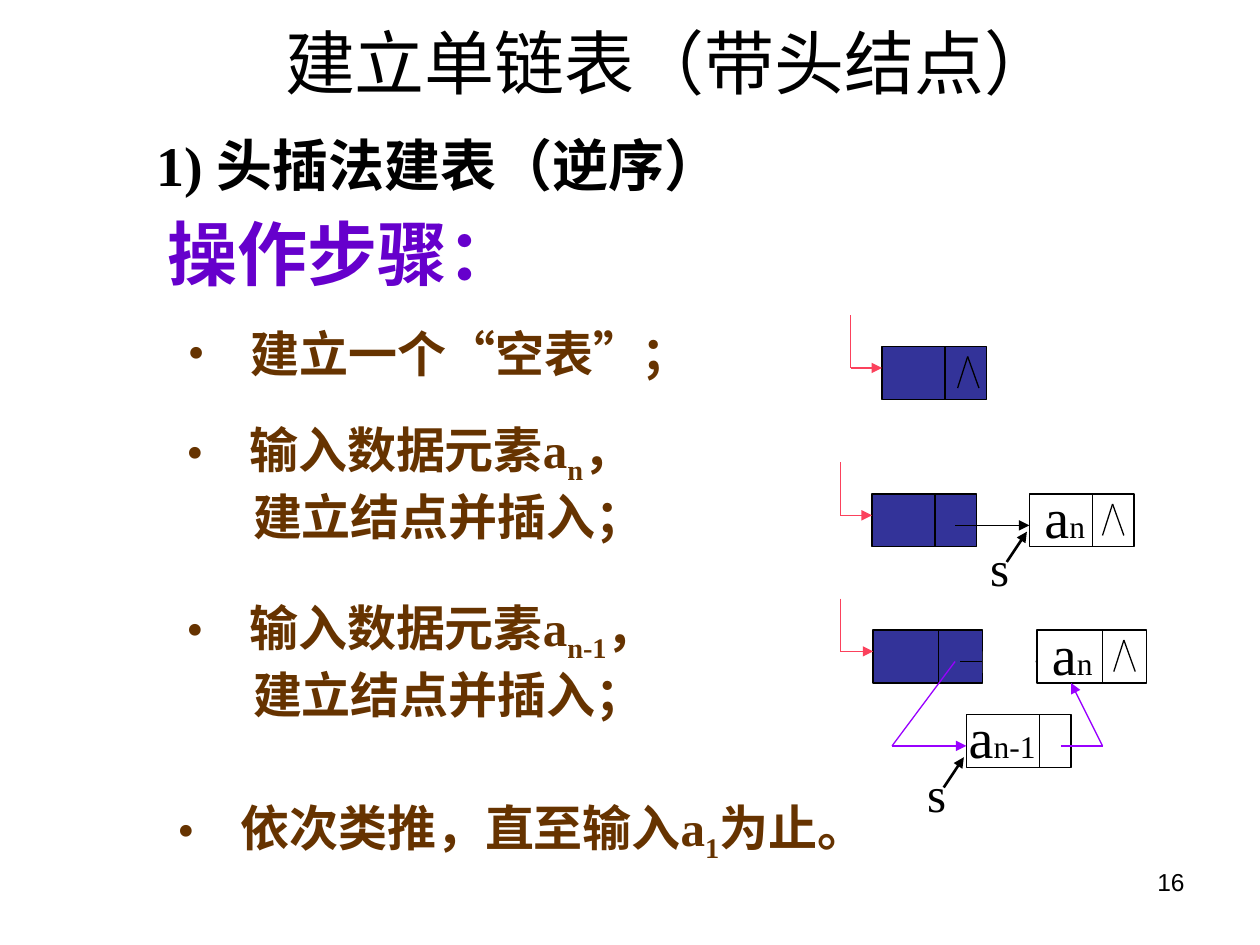
import lxml.etree
import pptx
import pptx.dml.color
import pptx.enum.shapes
import pptx.enum.text
import pptx.oxml.ns
import pptx.util

Inches = pptx.util.Inches
Align = pptx.enum.text.PP_ALIGN
qn = pptx.oxml.ns.qn

BLACK, WHITE, NAVY = "000000", "FFFFFF", "333399"
RED, VIOLET, BROWN = "FB415C", "9900FF", "663300"
SERIF, SANS, CJK = "Times New Roman", "Arial", "Noto Sans CJK SC"
NODE_HEIGHT, NODE_WIDTH = 0.42, 0.83


def color(value):
    """Turn a hex string into a colour."""
    return pptx.dml.color.RGBColor.from_string(value)


def add_span(para, text, size, ink, bold=False, font=SERIF, baseline=0):
    """Append one formatted run to a paragraph."""
    span = para.add_run()
    span.text = text
    span.font.size = pptx.util.Pt(size)
    span.font.bold = bold
    span.font.color.rgb = color(ink)
    span.font.name = font
    properties = span.font._element
    lxml.etree.SubElement(properties, qn("a:ea")).set("typeface", CJK)
    if baseline:
        properties.set("baseline", str(baseline * 1000))


def add_box(slide, left, top, width, height, wrap=False):
    """Add an empty text box and return its text frame."""
    box = slide.shapes.add_textbox(Inches(left), Inches(top), Inches(width), Inches(height))
    box.text_frame.word_wrap = wrap
    return box.text_frame


def add_label(slide, place, spans, wrap=False, align=Align.LEFT):
    """Add a one-paragraph text box made of (text, size, colour, ...) spans."""
    frame = add_box(slide, *place, wrap=wrap)
    para = frame.paragraphs[0]
    para.alignment = align
    for span in spans:
        add_span(para, *span)
    return frame


def set_indent(para, margin, first=0.0, bullet=False):
    """Set the paragraph indent and, if asked, a round bullet."""
    properties = para._p.get_or_add_pPr()
    properties.set("marL", str(Inches(margin)))
    properties.set("indent", str(Inches(first)))
    if bullet:
        tint = lxml.etree.SubElement(properties, qn("a:buClr"))
        lxml.etree.SubElement(tint, qn("a:srgbClr")).set("val", BROWN)
        lxml.etree.SubElement(properties, qn("a:buFont")).set("typeface", SERIF)
        lxml.etree.SubElement(properties, qn("a:buChar")).set("char", "•")


def add_step(slide, place, before, subscript="", after="", second="", wrap=False):
    """Add a bulleted step with an optional subscript and second line."""
    frame = add_box(slide, *place, wrap=wrap)
    para = frame.paragraphs[0]
    set_indent(para, 0.5, -0.5, bullet=True)
    add_span(para, before, 28, BROWN, True)
    if subscript:
        add_span(para, subscript, 28, BROWN, True, baseline=-25)
        add_span(para, after, 28, BROWN, True)
    if second:
        para = frame.add_paragraph()
        set_indent(para, 0.53)
        add_span(para, second, 28, BROWN, True)


def add_line(slide, start, end, ink=BLACK, weight=0.75, arrow=False):
    """Draw a straight line, with an arrowhead at its end if asked."""
    line = slide.shapes.add_connector(
        pptx.enum.shapes.MSO_CONNECTOR.STRAIGHT, *map(Inches, start + end))
    line.line.color.rgb = color(ink)
    line.line.width = pptx.util.Pt(weight)
    if arrow:
        outline = line.line._get_or_add_ln()
        lxml.etree.SubElement(outline, qn("a:tailEnd")).set("type", "triangle")
    lxml.etree.SubElement(line._element.spPr, qn("a:effectLst"))


def add_rectangle(slide, left, top, width, height, fill=None, outline=True):
    """Draw a rectangle with optional fill and outline."""
    shape = slide.shapes.add_shape(
        pptx.enum.shapes.MSO_SHAPE.RECTANGLE,
        Inches(left), Inches(top), Inches(width), Inches(height))
    shape.shadow.inherit = False
    if fill:
        shape.fill.solid()
        shape.fill.fore_color.rgb = color(fill)
    else:
        shape.fill.background()
    if outline:
        shape.line.color.rgb = color(BLACK)
        shape.line.width = pptx.util.Pt(0.75)
    else:
        shape.line.fill.background()


def add_node(slide, left, top, width=NODE_WIDTH, split=0.5, fill=None):
    """Draw a list node divided into a data cell and a pointer cell."""
    add_rectangle(slide, left, top, width, NODE_HEIGHT, fill)
    add_line(slide, (left + split, top), (left + split, top + NODE_HEIGHT))


def add_head(slide, left, top, width=NODE_WIDTH, split=0.5, gap=0.25):
    """Draw the head node and the red pointer that leads to it."""
    add_node(slide, left, top, width, split, NAVY)
    bend = (left - gap, top + 0.17)
    add_line(slide, bend, (left, top + 0.17), RED, arrow=True)
    add_line(slide, (left - gap, top - 0.25), bend, RED)


def add_null(slide, x, top):
    """Draw the null mark with its peak at x."""
    for foot in (x - 0.08, x + 0.09):
        add_line(slide, (x, top), (foot, top + 0.25))


def add_data(slide, left, top, width, subscript):
    """Write the data of a node."""
    add_label(slide, (left, top, width, 0.64), [("a", 32, BLACK), (subscript, 18, BLACK)])


def add_new_pointer(slide, left, top):
    """Write the s label and its arrow to the new node."""
    add_label(slide, (left, top, 0.35, 0.57), [("s", 28, BLACK)])
    add_line(slide, (left + 0.23, top + 0.24), (left + 0.39, top), weight=1.5, arrow=True)


def add_texts(slide):
    """Add the headings, the steps and the page number."""
    title = add_label(slide, (2.01, 0.13, 6.61, 0.71), [
        ("建立单链表", 40, BLACK, False, CJK),
        ("（带头结点）", 40, BLACK, False, SANS)], True, Align.CENTER)
    title.vertical_anchor = pptx.enum.text.MSO_ANCHOR.MIDDLE
    add_label(slide, (1.14, 0.99, 5.83, 0.64), [("1) 头插法建表（逆序）", 32, BLACK, True)], True)
    add_label(slide, (1.23, 1.62, 2.97, 0.77), [("操作步骤：", 40, "6600CC", True)])
    add_step(slide, (1.39, 2.52, 4.19, 0.57), "建立一个“空表”；")
    for top, subscript in ((3.28, "n"), (4.69, "n-1")):
        add_step(slide, (1.38, top, 5.92, 1.1), "输入数据元素a", subscript, "，",
                 "建立结点并插入；", wrap=True)
    add_step(slide, (1.31, 6.28, 5.85, 0.63), "依次类推，直至输入a", "1", "为止。")
    add_label(slide, (7.17, 6.83, 2.33, 0.52), [("16", 14, BLACK, False, SANS)],
              True, Align.RIGHT)


def add_diagrams(slide):
    """Draw the list after each of the first three steps."""
    add_head(slide, 7, 2.75)
    add_null(slide, 7.68, 2.83)

    add_head(slide, 6.92, 3.92)
    add_node(slide, 8.17, 3.92)
    add_null(slide, 8.83, 4)
    add_line(slide, (7.58, 4.17), (8.17, 4.17), arrow=True)
    add_data(slide, 8.19, 3.78, 0.52, "n")
    add_new_pointer(slide, 7.76, 4.22)

    add_head(slide, 6.93, 5, 0.87, 0.52, 0.26)
    add_node(slide, 8.23, 5, 0.87, 0.52)
    add_null(slide, 8.92, 5.08)
    add_line(slide, (7.62, 5.25), (8.23, 5.25), arrow=True)
    add_rectangle(slide, 7.8, 5.17, 0.42, 0.17, WHITE, outline=False)
    add_data(slide, 8.25, 4.87, 0.52, "n")
    add_node(slide, 7.67, 5.67, split=0.58)
    add_data(slide, 7.59, 5.53, 0.73, "n-1")
    add_line(slide, (8.42, 5.92), (8.75, 5.92), VIOLET)
    add_line(slide, (8.75, 5.92), (8.5, 5.42), VIOLET, arrow=True)
    add_line(slide, (7.58, 5.25), (7.08, 5.92), VIOLET)
    add_line(slide, (7.08, 5.92), (7.67, 5.92), VIOLET, arrow=True)
    add_new_pointer(slide, 7.26, 6.01)


def main():
    """Build the slide and save the deck."""
    deck = pptx.Presentation()
    deck.slide_width, deck.slide_height = Inches(10), Inches(7.5)
    slide = deck.slides.add_slide(deck.slide_layouts[6])
    add_texts(slide)
    add_diagrams(slide)
    deck.save("out.pptx")


if __name__ == "__main__":
    main()
